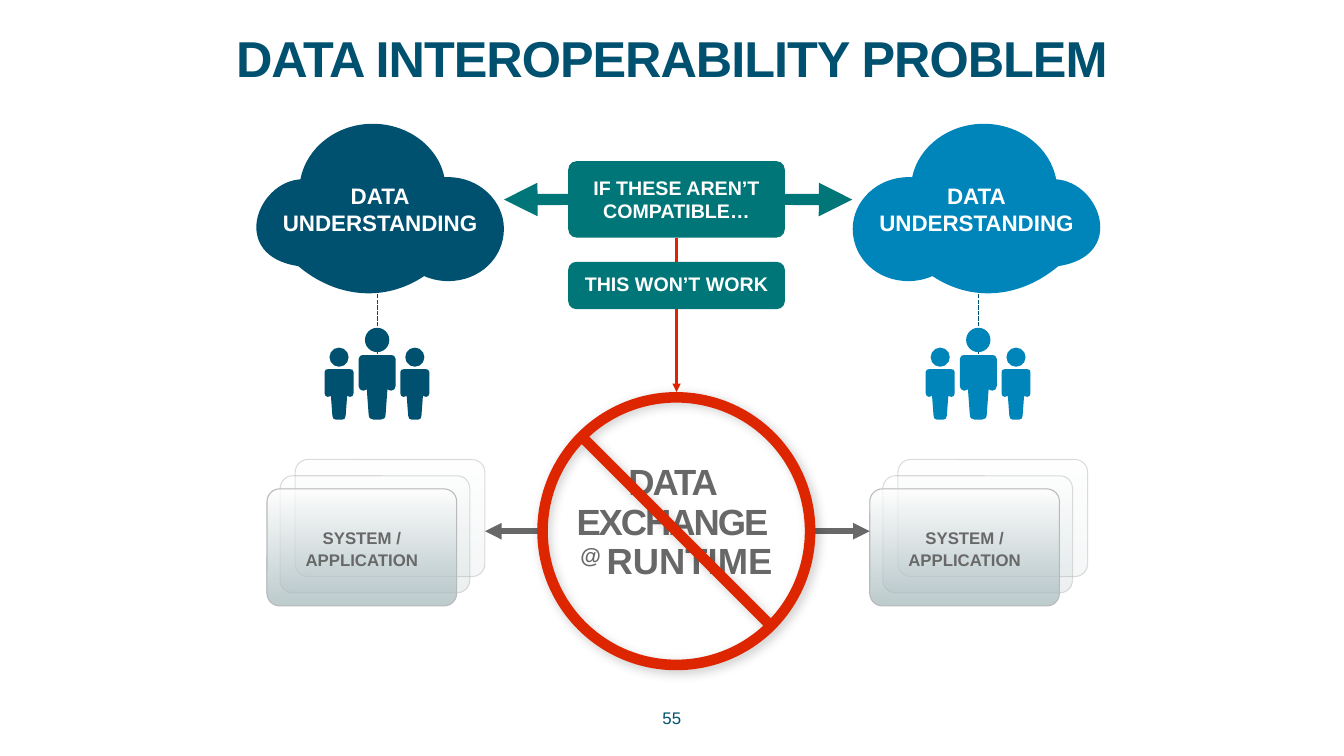
import lxml.etree
import pptx
import pptx.dml.color
import pptx.enum.dml
import pptx.enum.shapes
import pptx.enum.text
import pptx.oxml.ns
import pptx.util

Cm = pptx.util.Cm
Pt = pptx.util.Pt
SHAPE = pptx.enum.shapes.MSO_SHAPE
ANCHOR = pptx.enum.text.MSO_ANCHOR
qn = pptx.oxml.ns.qn

NAVY, BLUE, TEAL, RED = "00506F", "0085BB", "007678", "DD2500"
GRAY, EDGE, SILVER, WHITE = "686868", "B9B9B9", "9EB3B6", "FFFFFF"

# Outlines in percent of their box: one point is a line, three are a Bezier curve.
CLOUD = [
    [(79.7, 29.9)],
    [(79, 29.9), (79, 29.9), (78.3, 29.9)],
    [(76.1, 13), (65.1, 0), (52.2, 0)],
    [(38.9, 0), (27.9, 13.6), (25.8, 31.1)],
    [(9.6, 32.8), (0, 74), (25, 79.7)],
    [(38.9, 97.7), (56.6, 100), (70.9, 85.3)],
    [(73.5, 87), (76.4, 88.1), (79.7, 88.1)],
    [(91.2, 88.1), (100, 75.1), (100, 58.8)],
    [(100, 43.5), (91.2, 29.9), (79.7, 29.9)],
]
BODY = [
    [(22, 53)],
    [(17, 55), (14, 55), (11, 55)],
    [(5, 55), (0, 52), (0, 48)],
    [(0, 6)],
    [(0, 2), (5, 0), (14, 0)],
    [(86, 0)],
    [(95, 0), (100, 2), (100, 6)],
    [(100, 48)],
    [(100, 52), (95, 55), (89, 55)],
    [(86, 55), (83, 55), (78, 53)],
    [(73, 92)],
    [(73, 97), (68, 100), (60, 100)],
    [(40, 100)],
    [(32, 100), (27, 97), (27, 92)],
]


def rgb(color):
    return pptx.dml.color.RGBColor.from_string(color)


def paint(shape, color):
    shape.shadow.inherit = False
    shape.fill.solid()
    shape.fill.fore_color.rgb = rgb(color)
    shape.line.fill.background()


def add_alpha(element, percent):
    for color in element.iter(qn("a:srgbClr")):
        lxml.etree.SubElement(color, qn("a:alpha"), val=str(percent * 1000))


def add_preset(slide, kind, left, top, width, height, color):
    shape = slide.shapes.add_shape(kind, Cm(left), Cm(top), Cm(width), Cm(height))
    paint(shape, color)
    return shape


def format_run(run, size, color, bold=True, spacing=0):
    run.font.name = "Arial"
    run.font.size = Pt(size)
    run.font.bold = bold
    run.font.color.rgb = rgb(color)
    if spacing:
        run.font._element.set("spc", str(round(spacing * 100)))


def write(shape, text, size, color, anchor=ANCHOR.MIDDLE, bold=True, spacing=0, line_spacing=1.0):
    frame = shape.text_frame
    frame.text = text
    frame.word_wrap = True
    frame.vertical_anchor = anchor
    frame.margin_left = frame.margin_right = 0
    for paragraph in frame.paragraphs:
        paragraph.alignment = pptx.enum.text.PP_ALIGN.CENTER
        paragraph.line_spacing = line_spacing
        for run in paragraph.runs:
            format_run(run, size, color, bold, spacing)


def add_text(slide, left, top, width, height, text, size, color, **options):
    box = slide.shapes.add_textbox(Cm(left), Cm(top), Cm(width), Cm(height))
    write(box, text, size, color, **options)
    return box


def add_line(slide, start, end, color, width, arrows=()):
    """Draw a straight line; arrows names its ends: headEnd, then tailEnd."""
    line = slide.shapes.add_connector(
        pptx.enum.shapes.MSO_CONNECTOR.STRAIGHT, *(Cm(value) for value in (*start, *end)))
    line.line.color.rgb = rgb(color)
    line.line.width = Pt(width)
    for arrow in arrows:
        lxml.etree.SubElement(line.line._get_or_add_ln(), qn("a:" + arrow), type="triangle")
    lxml.etree.SubElement(line._element.spPr, qn("a:effectLst"))
    return line


def bend(shape, outline):
    """Join the straight segments of each three-point part into one Bezier curve."""
    contour = next(shape._element.iter(qn("a:path")))
    segments = iter(contour.findall(qn("a:lnTo")))
    for part in outline[1:]:
        lines = [next(segments) for point in part]
        if len(lines) == 3:
            curve = lxml.etree.SubElement(contour, qn("a:cubicBezTo"))
            lines[0].addprevious(curve)
            for line in lines:
                curve.append(line[0])
                contour.remove(line)


def add_outline(slide, outline, left, top, width, height, color, mirrored=False):
    points = [
        (Cm(left + width * (100 - x if mirrored else x) / 100), Cm(top + height * y / 100))
        for part in outline for x, y in part]
    builder = slide.shapes.build_freeform(*points[0])
    builder.add_line_segments(points[1:])
    shape = builder.convert_to_shape()
    bend(shape, outline)
    paint(shape, color)


def add_title(slide, left, top, width, height):
    title = slide.shapes.title
    title.left, title.top, title.width, title.height = map(Cm, (left, top, width, height))
    write(title, "DATA INTEROPERABILITY PROBLEM", 36, NAVY, anchor=ANCHOR.BOTTOM, spacing=-0.7)
    title.text_frame.margin_top = title.text_frame.margin_bottom = 0
    title.text_frame.auto_size = pptx.enum.text.MSO_AUTO_SIZE.NONE


def add_cloud(slide, left, top, color, mirrored):
    width, height, text_width, text_left = 6.91, 4.5, 5.44, 1.07
    add_outline(slide, CLOUD, left, top, width, height, color, mirrored)
    if mirrored:
        text_left = width - text_left - text_width
    add_text(slide, left + text_left, top + 1.35, text_width, 1.63,
             "DATA\nUNDERSTANDING", 16, WHITE, anchor=ANCHOR.TOP)


def add_person(slide, left, top, width, color):
    head = 0.66 * width
    add_outline(slide, BODY, left, top + 0.74 * width, width, 1.75 * width, color)
    add_preset(slide, SHAPE.OVAL, left + (width - head) / 2, top, head, head, color)


def add_people(slide, left, top, color):
    for offset, drop, width in ((0.86, 0, 0.93), (0, 0.5, 0.73), (1.91, 0.5, 0.73)):
        add_person(slide, left + offset, top + drop, width, color)


def add_system(slide, left, top):
    for right, up, opacity, edge_opacity in ((0.71, 0.74, 10, 50), (0.33, 0.33, 20, 50), (0, 0, 68, 100)):
        card = add_preset(slide, SHAPE.ROUNDED_RECTANGLE, left + right, top - up, 4.78, 2.95, WHITE)
        card.adjustments[0] = 0.108
        card.fill.gradient()
        card.fill.gradient_angle = 90
        for stop, color in zip(card.fill.gradient_stops, (SILVER, WHITE)):
            stop.color.rgb = rgb(color)
        card.line.color.rgb = rgb(EDGE)
        card.line.width = Pt(0.75)
        properties = card._element.spPr
        add_alpha(properties.find(qn("a:gradFill")), opacity)
        add_alpha(properties.find(qn("a:ln")), edge_opacity)
    write(card, "SYSTEM /\vAPPLICATION", 12, GRAY, line_spacing=1.1)


def add_warning(slide, left, top, width):
    banner = add_preset(slide, SHAPE.ROUNDED_RECTANGLE, left, top, width, 1.93, TEAL)
    banner.adjustments[0] = 0.112
    write(banner, "IF THESE AREN’T COMPATIBLE…", 14, WHITE)
    middle, center = top + 0.97, left + width / 2
    for site, start, end, color, weight in (
            (1, (left, middle), (left - 1.62, middle), TEAL, 8),
            (3, (left + width, middle), (left + width + 1.7, middle), TEAL, 8),
            (2, (center, top + 1.93), (center, top + 5.82), RED, 2)):
        arrow = add_line(slide, start, end, color, weight, ["tailEnd"])
        arrow.begin_connect(banner, site)
    note = add_preset(slide, SHAPE.ROUNDED_RECTANGLE, left, top + 2.54, width, 1.19, TEAL)
    write(note, "THIS WON’T WORK", 14, WHITE, line_spacing=0.8)


def add_exchange(slide, left, top, size):
    add_line(slide, (left - 1.32, top + size / 2), (left + 8.38, top + size / 2),
             GRAY, 4, ["headEnd", "tailEnd"])
    add_preset(slide, SHAPE.OVAL, left + 0.25, top + 0.25, size - 0.5, size - 0.5, WHITE)
    label = add_text(slide, left - 0.58, top + 1.7, 8.18, 3.28, "DATA \nEXCHANGE \v", 26, GRAY,
                     anchor=ANCHOR.TOP, spacing=-1.5, line_spacing=0.9)
    for text, baseline in (("@ ", 30000), ("RUNTIME", 0)):
        run = label.text_frame.paragraphs[1].add_run()
        run.text = text
        format_run(run, 26, GRAY)
        run.font._element.set("baseline", str(baseline))
    ring = add_preset(slide, SHAPE.NO_SYMBOL, left, top, size, size, RED)
    ring.adjustments[0] = 0.038
    shadow = lxml.etree.SubElement(
        ring._element.spPr.find(qn("a:effectLst")), qn("a:outerShdw"),
        blurRad=str(Pt(8)), dist=str(Pt(3)), dir="2700000", algn="tl", rotWithShape="0")
    lxml.etree.SubElement(shadow, qn("a:srgbClr"), val="000000")
    add_alpha(shadow, 20)


def main():
    presentation = pptx.Presentation()
    presentation.slide_width, presentation.slide_height = Cm(33.87), Cm(19.05)
    slide = presentation.slides.add_slide(presentation.slide_layouts[5])
    add_title(slide, 0, 0.64, 33.87, 1.57)
    sides = ((5.79, 8.18, 6.73, NAVY, False), (21.49, 23.33, 21.92, BLUE, True))
    for cloud_left, people_left, system_left, color, mirrored in sides:
        link = add_line(slide, (people_left + 1.33, 9.2), (people_left + 1.33, 6), NAVY, 1)
        link.line.dash_style = pptx.enum.dml.MSO_LINE.SQUARE_DOT
        add_cloud(slide, cloud_left, 3.12, color, mirrored)
        add_people(slide, people_left, 8.26, color)
        add_system(slide, system_left, 12.32)
    add_warning(slide, 14.32, 4.06, 5.46)
    add_exchange(slide, 13.54, 9.88, 7.01)
    add_text(slide, 12.98, 17.58, 7.9, 1.02, "55", 12, NAVY, bold=False)
    presentation.save("out.pptx")


if __name__ == "__main__":
    main()
